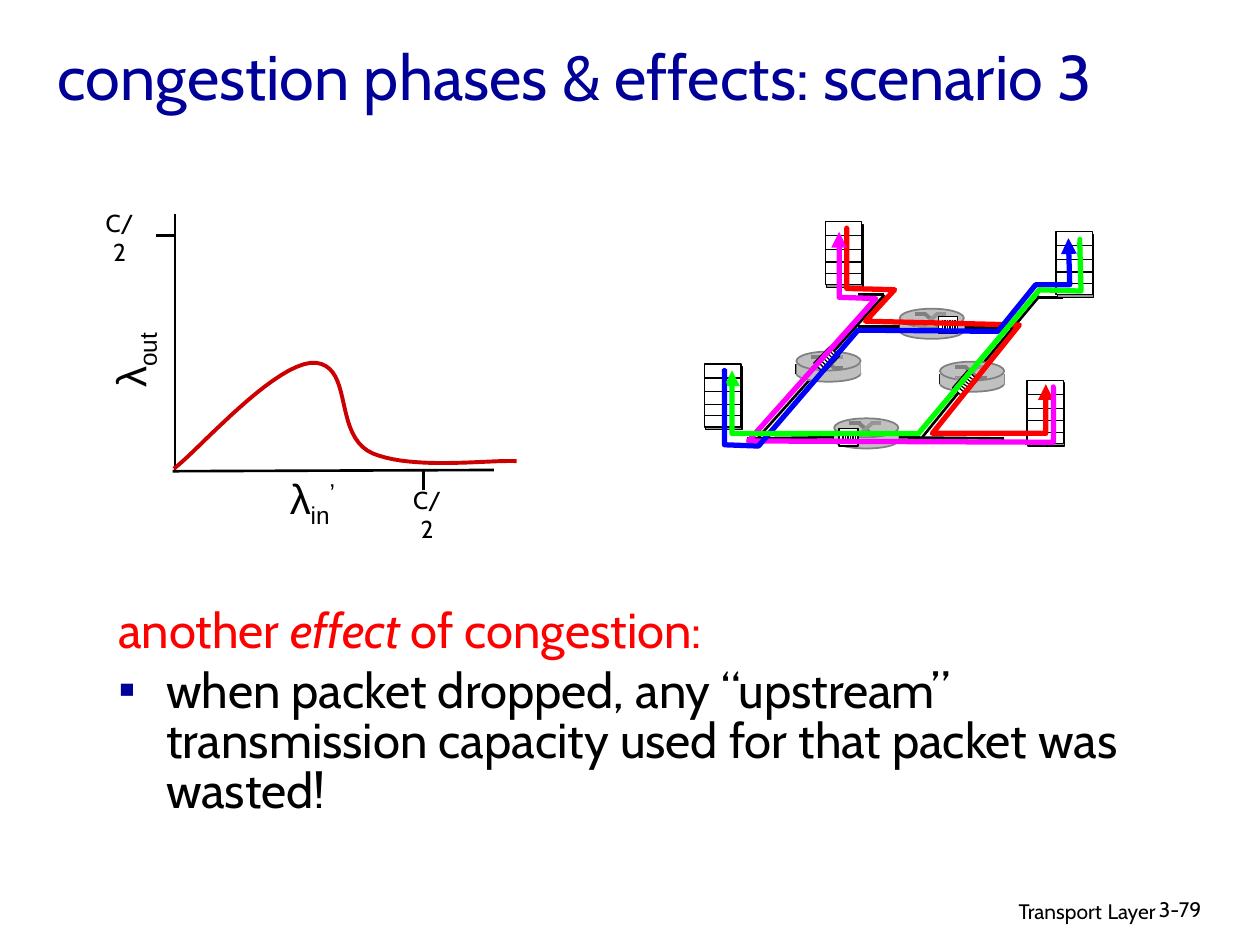
import pptx
import pptx.util
import pptx.dml.color
import pptx.enum.shapes
import pptx.enum.text
import pptx.oxml.ns
from lxml import etree

RGB = pptx.dml.color.RGBColor
BLACK, WHITE = RGB(0, 0, 0), RGB(255, 255, 255)
RED, GREEN, BLUE, MAGENTA = RGB(255, 0, 0), RGB(0, 255, 0), RGB(0, 0, 255), RGB(255, 0, 255)
NAVY, CRIMSON = RGB(0, 0, 0x99), RGB(0xCC, 0, 0)
SILVER, GRAY, MID = RGB(0xC0, 0xC0, 0xC0), RGB(0x80, 0x80, 0x80), RGB(0x96, 0x96, 0x96)
RECT = pptx.enum.shapes.MSO_SHAPE.RECTANGLE
OVAL = pptx.enum.shapes.MSO_SHAPE.OVAL
LEFT, CENTER, RIGHT = (getattr(pptx.enum.text.PP_ALIGN, n) for n in ("LEFT", "CENTER", "RIGHT"))
qn, Pt = pptx.oxml.ns.qn, pptx.util.Pt

prs = pptx.Presentation()
prs.slide_width, prs.slide_height = pptx.util.Inches(10), pptx.util.Inches(7.5)
s = prs.slides.add_slide(prs.slide_layouts[6])
COL = prs.slide_width // 1000
ROW = prs.slide_height // 750


def line(x1, y1, x2, y2, color=BLACK, width=0.75):
    c = s.shapes.add_connector(pptx.enum.shapes.MSO_CONNECTOR.STRAIGHT,
                               int(x1 * COL), int(y1 * ROW), int(x2 * COL), int(y2 * ROW))
    c.line.color.rgb = color
    c.line.width = Pt(width)
    etree.SubElement(c._element.spPr, qn("a:effectLst"))


def shape(kind, x, y, w, h, fill, edge=None, width=0.75, rotation=0):
    sp = s.shapes.add_shape(kind, x * COL, y * ROW, w * COL, h * ROW)
    sp.shadow.inherit = False
    sp.rotation = rotation
    sp.fill.solid()
    sp.fill.fore_color.rgb = fill
    if edge is None:
        sp.line.fill.background()
    else:
        sp.line.color.rgb = edge
        sp.line.width = Pt(width)


links = [(702, 234, 657, 284), (702, 234, 681, 234), (662, 347, 593, 348),
         (715, 259, 681, 259), (803, 260, 766, 260), (825, 235, 763, 309),
         (844, 236, 823, 236), (797, 348, 702, 347), (762, 310, 732, 347),
         (643, 301, 602, 347)]
axes = [(139, 170, 139, 374), (137, 374, 392, 373), (124, 187, 138, 187), (336, 374, 336, 389)]
for ends in links + axes:
    line(*ends, width=1.5)

for x, y in [(655, 176), (559, 289), (838, 184), (815, 302)]:
    shape(RECT, x + 1, y + 2, 29, 50, MID, BLACK)
    shape(RECT, x, y, 29, 50, WHITE, BLACK)
    for dy in (11, 22, 32, 41):
        line(x, y + dy, x + 29, y + dy)

for x, y in [(714, 245), (746, 287), (662, 332), (632, 279)]:
    shape(OVAL, x, y + 11, 51, 13, SILVER, GRAY, 1)
    line(x, y + 10, x, y + 18, BLACK, 1)
    line(x + 51, y + 10, x + 51, y + 18, GRAY, 1)
    shape(RECT, x, y + 10, 12, 8, SILVER)
    shape(RECT, x + 36, y + 10, 15, 8, SILVER)
    shape(OVAL, x, y, 51, 15, SILVER, GRAY, 1)
    for color, start, end in [(GRAY, 4, 13), (MID, 13, 4)]:
        line(x + 12, y + start, x + 21, y + start, color, 2.25)
        line(x + 29, y + end, x + 37, y + end, color, 2.25)
        line(x + 20, y + start, x + 30, y + end, color, 2.25)

queues = [((745, 251, 15, 14), 0, (748, 254, 748, 263), (2, 0)),
          ((757, 299, 18, 11), 130.7, (765, 311, 760, 307), (1.6, -1.8)),
          ((666, 340, 15, 14), 0, (669, 342, 669, 351), (2, 0)),
          ((647, 280, 18, 11), 133.8, (654, 292, 649, 287), (1.8, -1.8))]
for box, angle, (x1, y1, x2, y2), (dx, dy) in queues:
    shape(RECT, *box, WHITE, BLACK, rotation=angle)
    for i in range(6):
        line(x1 + i * dx, y1 + i * dy, x2 + i * dx, y2 + i * dy)

curve = [(138, 372)]
for b, c, d in [((157, 358), (220, 285), (251, 288)),
                ((281, 292), (264, 346), (296, 360)),
                ((328, 373), (386, 365), (410, 366))]:
    a = curve[-1]
    for t in (i / 20 for i in range(1, 21)):
        curve.append(tuple((1 - t) ** 3 * m + 3 * t * (1 - t) ** 2 * n
                           + 3 * t ** 2 * (1 - t) * o + t ** 3 * q
                           for m, n, o, q in zip(a, b, c, d)))

flows = [
    (RED, 3, [(672, 181), (672, 229), (710, 230), (687, 255), (809, 258), (740, 344), (830, 344), (830, 305)]),
    (MAGENTA, 3, [(836, 308), (836, 351), (594, 350), (695, 237), (666, 236), (666, 184)]),
    (BLUE, 3, [(575, 293), (575, 353), (602, 354), (681, 262), (792, 263), (822, 226), (849, 226), (848, 189)]),
    (GREEN, 3, [(857, 192), (858, 231), (825, 230), (729, 344), (581, 344), (581, 294)]),
    (CRIMSON, 2.25, curve),
]
for color, width, points in flows:
    first, *rest = [(x * COL, y * ROW) for x, y in points]
    fb = s.shapes.build_freeform(*first)
    fb.add_line_segments(rest, close=False)
    sp = fb.convert_to_shape()
    sp.shadow.inherit = False
    sp.fill.background()
    sp.line.color.rgb = color
    sp.line.width = Pt(width)
    if points is not curve:
        etree.SubElement(sp.line._get_or_add_ln(), qn("a:tailEnd"), type="triangle")

for color, x, y in [(RED, 670, 179), (BLUE, 573, 292), (MAGENTA, 834, 305), (GREEN, 855, 188)]:
    for dy in (0, 11):
        shape(OVAL, x, y + dy, 4, 5, color)

SMALL = dict(name="Cabin", size=Pt(12))
LABEL = dict(name="Cabin", size=Pt(14))
GREEK = dict(name="Arial", size=Pt(24))
BODY = dict(name="Cabin", size=Pt(28))
TITLE = dict(name="Cabin", size=Pt(36))
MIDDLE = dict(vertical_anchor=pptx.enum.text.MSO_ANCHOR.MIDDLE)
texts = [
    ((610, 705, 317, 31), 0, RIGHT, SMALL, {}, [[("Transport", {}), (" ", LABEL), ("Layer", {})]]),
    ((910, 707, 74, 30), 0, LEFT, SMALL, {}, [[("3-79", {})]]),
    ((70, 160, 50, 33), 0, CENTER, LABEL, {}, [[("C/2", {})]]),
    ((314, 380, 50, 33), 0, CENTER, LABEL, {}, [[("C/2", {})]]),
    ((59, 261, 88, 50), 270, CENTER, GREEK, {}, [[("λ", {}), ("out", dict(baseline="-25000"))]]),
    ((218, 370, 60, 50), 0, CENTER, GREEK, dict(word_wrap=False),
     [[("λ", {}), ("in", dict(baseline="-25000")), ("’", dict(baseline="30000"))]]),
    ((36, -3, 850, 125), 0, LEFT, TITLE, MIDDLE,
     [[("congestion phases & effects: scenario 3", dict(color=NAVY))]]),
    ((84, 478, 851, 108), 0, LEFT, BODY, {},
     [[("another ", dict(color=RED)), ("effect", dict(color=RED, italic=True)),
       (" of congestion:", dict(color=RED))],
      [("when packet dropped, any “upstream” transmission capacity used for that packet was wasted!", {})]]),
]
for (x, y, w, h), angle, align, font, frame, paragraphs in texts:
    sp = s.shapes.add_textbox(x * COL, y * ROW, w * COL, h * ROW)
    sp.rotation = angle
    tf = sp.text_frame
    for key, value in {"word_wrap": True, **frame}.items():
        setattr(tf, key, value)
    for i, runs in enumerate(paragraphs):
        p = tf.add_paragraph() if i else tf.paragraphs[0]
        p.alignment = align
        for text, extra in runs:
            r = p.add_run()
            r.text = text
            for key, value in {"color": BLACK, **font, **extra}.items():
                if key == "color":
                    r.font.color.rgb = value
                elif key == "baseline":
                    r.font._element.set(key, value)
                else:
                    setattr(r.font, key, value)

for p in tf.paragraphs:
    p.line_spacing = 0.85
    p.space_before = Pt(5.6)
    pPr = p._p.get_or_add_pPr()
    pPr.set("marL", str(38 * COL))
    pPr.set("indent", str(-38 * COL))
etree.SubElement(etree.SubElement(pPr, qn("a:buClr")), qn("a:srgbClr"), val=str(NAVY))
etree.SubElement(pPr, qn("a:buFont"), typeface="Arial")
etree.SubElement(pPr, qn("a:buChar"), char="▪")

prs.save("out.pptx")
